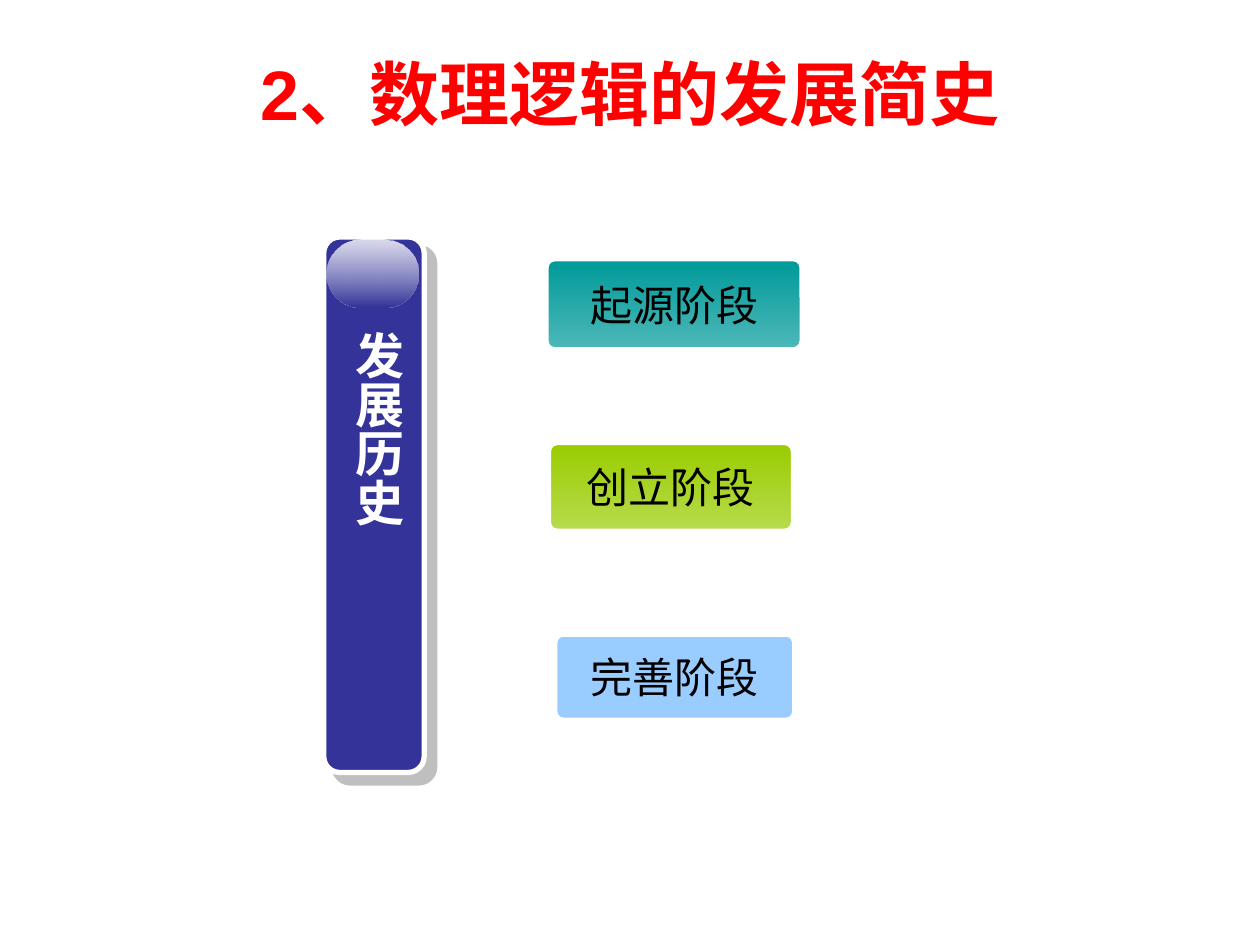
from lxml.etree import SubElement
from pptx import Presentation
from pptx.dml.color import RGBColor
from pptx.enum.shapes import MSO_SHAPE as Shape
from pptx.enum.text import MSO_ANCHOR as Anchor, PP_ALIGN as Align
from pptx.oxml import parse_xml
from pptx.oxml.ns import nsdecls, qn
from pptx.util import Pt

WHITE = RGBColor(0xFF, 0xFF, 0xFF)
BLACK = RGBColor(0, 0, 0)
RED = RGBColor(0xFF, 0, 0)
NAVY = RGBColor(0x33, 0x33, 0x99)
TEAL = RGBColor(0, 0x99, 0x99)
LIGHT_TEAL = RGBColor(0x4D, 0xB8, 0xB8)
GREEN = RGBColor(0x99, 0xCC, 0)
LIGHT_GREEN = RGBColor(0xB8, 0xDB, 0x4D)
SKY = RGBColor(0x99, 0xCC, 0xFF)
CJK = "Noto Sans CJK JP"


def add_rounded(left, top, width, height, radius, colors):
    shape = slide.shapes.add_shape(
        Shape.ROUNDED_RECTANGLE, Pt(left), Pt(top), Pt(width), Pt(height))
    shape.adjustments[0] = radius
    shape.shadow.inherit = False
    if len(colors) == 1:
        shape.fill.solid()
        shape.fill.fore_color.rgb = colors[0]
    else:
        shape.fill.gradient()
        shape.fill.gradient_angle = 270
        for stop, color, position in zip(shape.fill.gradient_stops, colors, (0, 1)):
            stop.color.rgb = color
            stop.position = position
    return shape


def write(shape, text, size, color, font_name, bold=False):
    paragraph = shape.text_frame.paragraphs[0]
    paragraph.alignment = Align.CENTER
    run = paragraph.add_run()
    run.text = text
    run.font.size = Pt(size)
    run.font.bold = bold
    run.font.color.rgb = color
    run.font.name = font_name
    SubElement(run.font._element, qn("a:ea")).set("typeface", font_name)
    return paragraph


presentation = Presentation()
presentation.slide_width, presentation.slide_height = Pt(720), Pt(540)
slide = presentation.slides.add_slide(presentation.slide_layouts[6])

title = slide.shapes.add_textbox(Pt(36), Pt(8), Pt(648), Pt(90))
title.text_frame.word_wrap = True
title.text_frame.vertical_anchor = Anchor.MIDDLE
write(title, "2、数理逻辑的发展简史", 40, RED, "Arial", True)

stages = [
    ("起源阶段", 312.5, 148.3, 145.4, 51.1, (TEAL, LIGHT_TEAL), CJK),
    ("创立阶段", 313.9, 253.4, 139, 49.7, (GREEN, LIGHT_GREEN), "Arial"),
    ("完善阶段", 317.5, 362.9, 136.1, 48.2, (SKY,), CJK),
]
for text, left, top, width, height, colors, font_name in stages:
    stage = add_rounded(left, top, width, height, 0.09, colors)
    stage.line.color.rgb = WHITE
    stage.line.width = Pt(2)
    stage.text_frame.word_wrap = False
    stage.text_frame.vertical_anchor = Anchor.MIDDLE
    write(stage, text, 24, BLACK, font_name)

bar = add_rounded(185, 135.4, 57.4, 306, 0.16, (NAVY,))
bar.line.color.rgb = WHITE
bar.line.width = Pt(3)
effects = bar._element.spPr.find(qn("a:effectLst"))
effects.append(parse_xml(
    f'<a:outerShdw {nsdecls("a")} dist="{Pt(8.5)}" dir="2700000" algn="ctr" rotWithShape="0">'
    '<a:srgbClr val="808080"><a:alpha val="50000"/></a:srgbClr></a:outerShdw>'))

highlight = add_rounded(186.5, 136.8, 52.6, 38.9, 0.5, (WHITE, NAVY))
highlight.line.fill.background()
white_stop = highlight._element.spPr.find(".//" + qn("a:srgbClr"))
SubElement(white_stop, qn("a:alpha")).set("val", "82000")

label = slide.shapes.add_textbox(Pt(195.1), Pt(182.2), Pt(37.4), Pt(226.8))
frame = label.text_frame
frame.word_wrap = True
frame.margin_left = frame.margin_right = Pt(3.6)
frame.margin_top = frame.margin_bottom = Pt(7.2)
frame._txBody.bodyPr.set("vert", "eaVert")
write(label, "发展历史", 28, WHITE, "Arial", True).line_spacing = 0.9

presentation.save("out.pptx")
